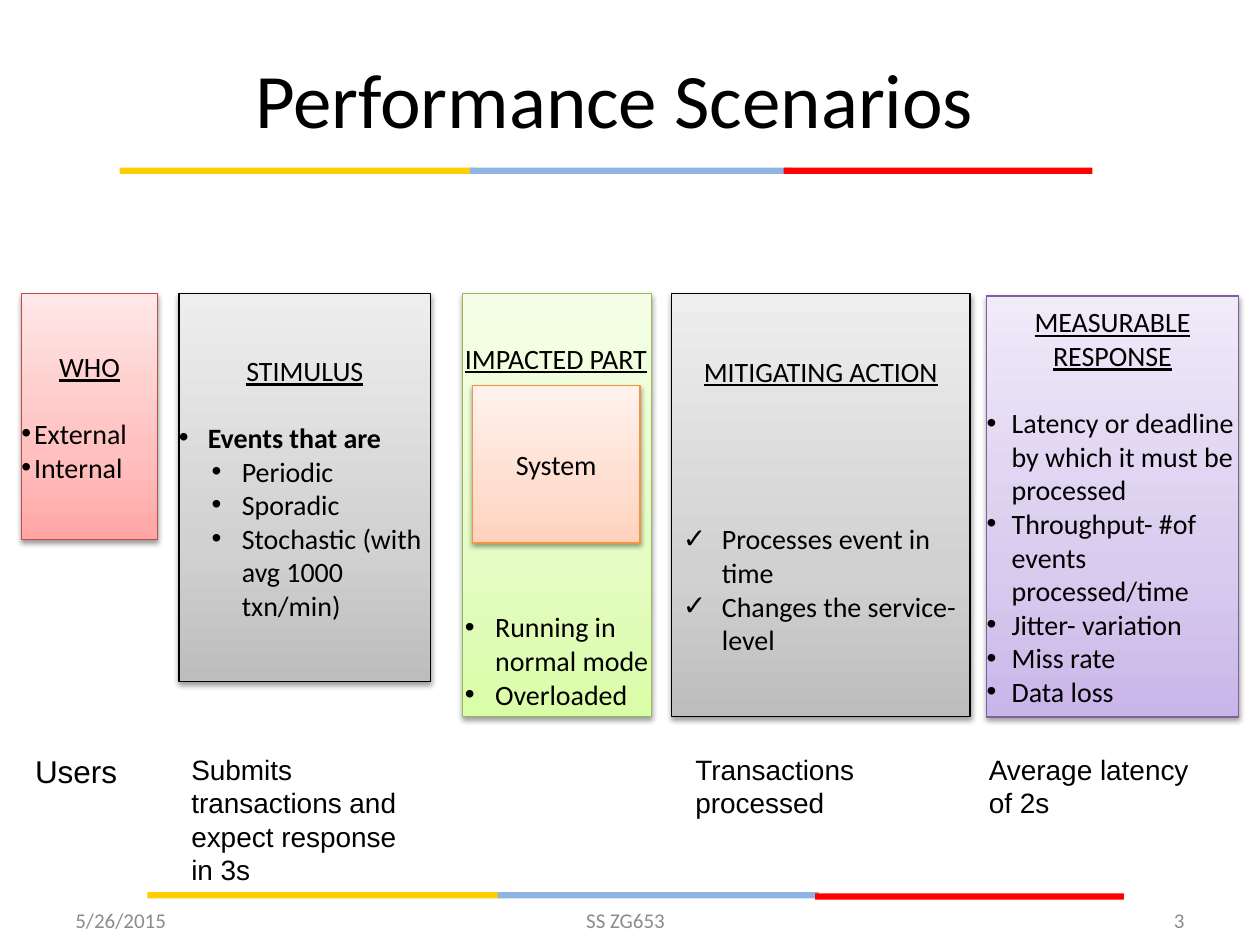
from copy import deepcopy
from dataclasses import dataclass

from lxml.etree import SubElement
from pptx import Presentation
from pptx.dml.color import RGBColor
from pptx.enum.shapes import MSO_SHAPE
from pptx.enum.text import MSO_ANCHOR, PP_ALIGN
from pptx.oxml.ns import qn
from pptx.util import Inches, Pt


@dataclass(frozen=True)
class Theme:
    black: str = "000000"
    muted: str = "8C8C8C"
    gold: str = "FFCE00"
    sky: str = "8EB4E3"
    red: str = "FF0000"
    # Each palette: line, then gradient from bottom to top
    rose: tuple = ("BF4C48", "FFA6A5", "FFC0BF", "FFE7E7")
    grey: tuple = ("000000", "BDBDBD", "D1D1D1", "EEEEEE")
    green: tuple = ("98B955", "DAFDA7", "E4FCC2", "F5FFE7")
    purple: tuple = ("7D60A0", "C9B5E8", "D8CBEE", "F0EAF9")
    orange: tuple = ("F69240", "FFD2BD", "FFDED0", "FFF2ED")
    heading_font: str = "Calibri"
    caption_font: str = "Arial"
    title_size: int = 44
    user_size: int = 18
    body_size: int = 16
    footer_size: int = 12
    body_line: float = 19.2


THEME = Theme()


@dataclass(frozen=True)
class Bullet:
    """A bulleted line; margin and hanging are in inches."""
    text: str
    margin: float
    hanging: float
    symbol: str = "•"
    bold: bool = False


def write_text(paragraph, text, *, size=THEME.body_size, font=THEME.heading_font,
               color=THEME.black, align=PP_ALIGN.LEFT, bold=False, underline=False):
    paragraph.alignment = align
    run = paragraph.add_run()
    run.text = text
    run.font.size = Pt(size)
    run.font.name = font
    run.font.bold = bold
    run.font.underline = underline
    run.font.color.rgb = RGBColor.from_string(color)


def set_bullet(paragraph, bullet):
    properties = paragraph._p.get_or_add_pPr()
    properties.set("marL", str(Inches(bullet.margin)))
    properties.set("indent", str(-Inches(bullet.hanging)))
    SubElement(properties, qn("a:buFont"), typeface="Arial")
    SubElement(properties, qn("a:buChar"), char=bullet.symbol)


def add_label(slide, box, text, *, anchor=MSO_ANCHOR.TOP, wrap=True, **text_format):
    label = slide.shapes.add_textbox(*map(Inches, box))
    frame = label.text_frame
    frame.word_wrap = wrap
    frame.vertical_anchor = anchor
    write_text(frame.paragraphs[0], text, **text_format)


def add_bar(slide, left, top, width, color):
    bar = slide.shapes.add_shape(MSO_SHAPE.RECTANGLE, Inches(left), Inches(top),
                                 Inches(width), Inches(0.05))
    bar.shadow.inherit = False
    bar.fill.solid()
    bar.fill.fore_color.rgb = RGBColor.from_string(color)
    bar.line.fill.background()


def add_colored_rule(slide, left, top, red_offset, red_drop=0):
    add_bar(slide, left, top, 2.82, THEME.gold)
    add_bar(slide, left + 2.78, top, 2.55, THEME.sky)
    add_bar(slide, left + red_offset, top + red_drop, 2.45, THEME.red)


def add_soft_shadow(shape):
    shape.shadow.inherit = False
    effects = shape._element.spPr.find(qn("a:effectLst"))
    shadow = SubElement(effects, qn("a:outerShdw"), blurRad=str(Pt(3.1)),
                        dist=str(Pt(1.6)), dir="5400000", rotWithShape="0")
    color = SubElement(shadow, qn("a:srgbClr"), val=THEME.black)
    SubElement(color, qn("a:alpha"), val="38000")


def add_panel(slide, box, palette, heading, *, bullets=(), blank_lines=1,
              anchor=MSO_ANCHOR.MIDDLE, align=PP_ALIGN.CENTER, underline=True,
              side_inset=0):
    """Gradient panel with a heading and bullets set some lines below it."""
    panel = slide.shapes.add_shape(MSO_SHAPE.RECTANGLE, *map(Inches, box))
    line_color, *gradient = palette
    panel.fill.gradient()
    panel.fill.gradient_angle = 90
    stop_list = panel._element.spPr.find(".//" + qn("a:gsLst"))
    stop_list.append(deepcopy(stop_list[-1]))
    for stop, position, color in zip(panel.fill.gradient_stops, (0, 0.35, 1), gradient):
        stop.position = position
        stop.color.rgb = RGBColor.from_string(color)
    panel.line.color.rgb = RGBColor.from_string(line_color)
    panel.line.width = Pt(0.75)
    add_soft_shadow(panel)

    frame = panel.text_frame
    frame.word_wrap = True
    frame.vertical_anchor = anchor
    frame.margin_left = Inches(side_inset)
    frame.margin_right = 0
    write_text(frame.paragraphs[0], heading, align=align, underline=underline)
    for index, bullet in enumerate(bullets):
        paragraph = frame.add_paragraph()
        if index == 0:
            paragraph.space_before = Pt(blank_lines * THEME.body_line)
        write_text(paragraph, bullet.text, bold=bullet.bold)
        set_bullet(paragraph, bullet)


def add_header(slide):
    add_colored_rule(slide, 0.95, 1.33, 5.27)
    add_label(slide, (0.38, 0.22, 9, 1.11), "Performance Scenarios",
              anchor=MSO_ANCHOR.MIDDLE, size=THEME.title_size, align=PP_ALIGN.CENTER)


def add_scenario_panels(slide, top):
    add_panel(slide, (0.17, top, 1.08, 1.95), THEME.rose, "WHO",
              bullets=[Bullet(text, 0.1, 0.1) for text in ("External", "Internal")])
    events = ("Periodic", "Sporadic", "Stochastic (with avg 1000 txn/min)")
    add_panel(slide, (1.42, top, 2, 3.08), THEME.grey, "STIMULUS",
              bullets=[Bullet("Events that are", 0.23, 0.23, bold=True)]
              + [Bullet(text, 0.5, 0.24) for text in events])
    add_panel(slide, (3.67, top, 1.5, 3.36), THEME.green, "IMPACTED PART",
              bullets=[Bullet(text, 0.24, 0.24)
                       for text in ("Running in normal mode", "Overloaded")],
              blank_lines=7, anchor=MSO_ANCHOR.BOTTOM, align=PP_ALIGN.LEFT,
              side_inset=0.02)
    add_panel(slide, (3.75, top + 0.73, 1.33, 1.25), THEME.orange, "System",
              underline=False)
    add_panel(slide, (5.33, top, 2.37, 3.36), THEME.grey, "MITIGATING ACTION",
              bullets=[Bullet(text, 0.4, 0.31, "✓")
                       for text in ("Processes event in time", "Changes the service-level")],
              blank_lines=4)
    measures = ("Latency or deadline by which it must be processed",
                "Throughput- #of events processed/time",
                "Jitter- variation", "Miss rate", "Data loss")
    add_panel(slide, (7.83, top + 0.02, 2, 3.34), THEME.purple, "MEASURABLE RESPONSE",
              bullets=[Bullet(text, 0.2, 0.2) for text in measures])


def add_example_row(slide, top):
    add_label(slide, (0.18, top, 0.86, 0.4), "Users", wrap=False,
              size=THEME.user_size, font=THEME.caption_font)
    captions = ((1.42, 1.18, "Submits transactions and expect response in 3s"),
                (5.42, 0.64, "Transactions processed"),
                (7.75, 0.64, "Average latency of 2s"))
    for left, height, text in captions:
        add_label(slide, (left, top, 2, height), text, font=THEME.caption_font)


def add_footer(slide, top):
    add_colored_rule(slide, 1.17, top - 0.02, 5.3, red_drop=0.01)
    parts = ((0.5, 2.33, "5/26/2015", PP_ALIGN.LEFT),
             (3.38, 3.17, "SS ZG653", PP_ALIGN.CENTER),
             (7.17, 2.33, "3", PP_ALIGN.RIGHT))
    for left, width, text, align in parts:
        add_label(slide, (left, top, width, 0.4), text, anchor=MSO_ANCHOR.MIDDLE,
                  size=THEME.footer_size, color=THEME.muted, align=align)


def main():
    presentation = Presentation()
    presentation.slide_width = Inches(10)
    presentation.slide_height = Inches(7.5)
    slide = presentation.slides.add_slide(presentation.slide_layouts[6])
    add_header(slide)
    add_scenario_panels(slide, 2.33)
    add_example_row(slide, 5.92)
    add_footer(slide, 7.1)
    presentation.save("out.pptx")


if __name__ == "__main__":
    main()
